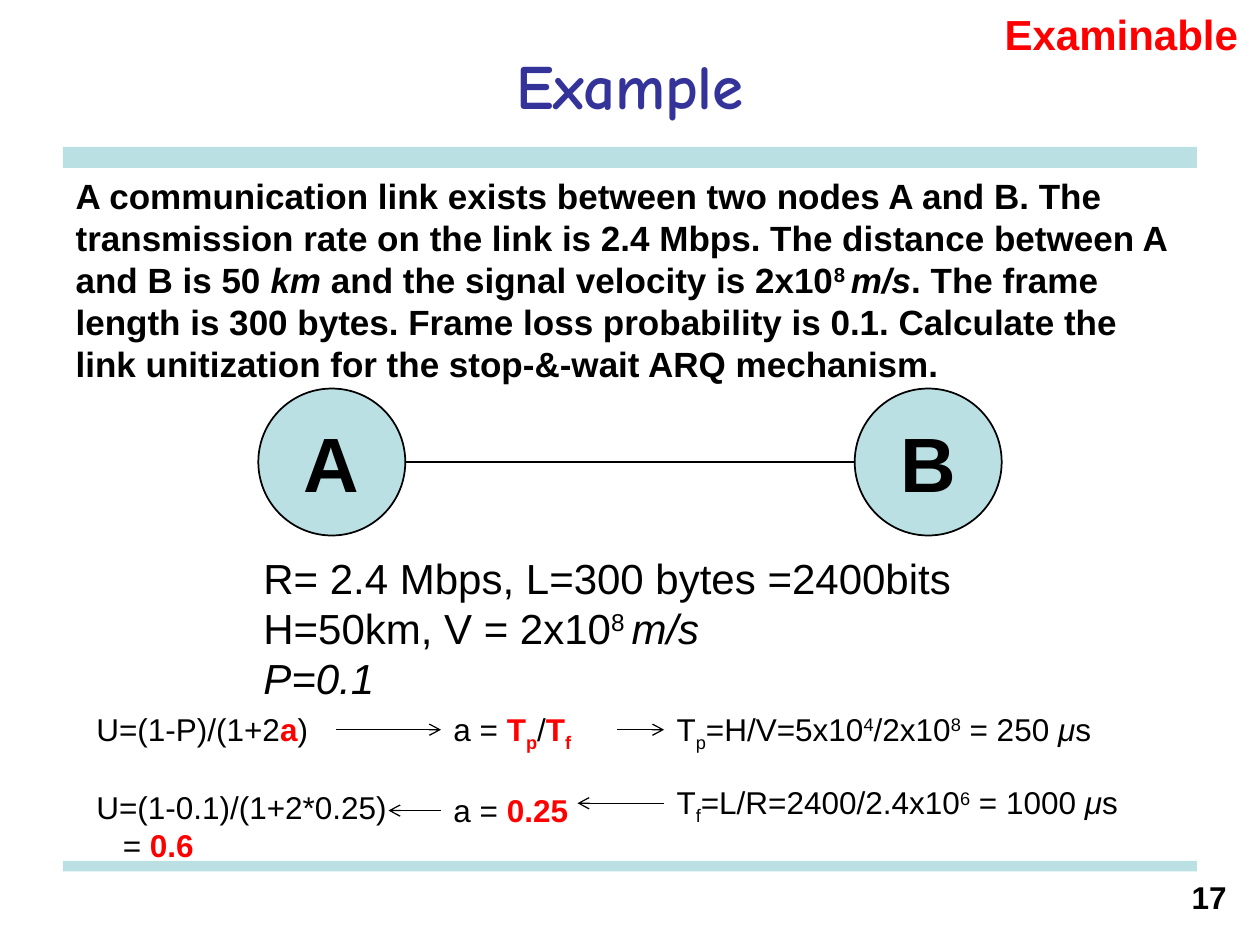
from lxml import etree
from pptx import Presentation
from pptx import util as u
from pptx.dml.color import RGBColor
from pptx.enum import shapes, text
from pptx.oxml import ns

COLUMNS, ROWS = 120, 90
CELL = u.Inches(10) // COLUMNS
BLACK, RED, NAVY, AQUA = "000000", "FF0000", "333399", "BBE0E3"
UP, DOWN = {"baseline": 30000}, {"baseline": -25000}
ITALIC, HOT = {"italic": True}, {"bold": True, "color": RED}
HOT_DOWN = {**HOT, **DOWN}


def cells(*lengths):
    return [u.Emu(round(length * CELL)) for length in lengths]


def colour(target, value):
    target.rgb = RGBColor.from_string(value)


def place(item, left, top, width, height):
    names = ("left", "top", "width", "height")
    for name, value in zip(names, cells(left, top, width, height)):
        setattr(item, name, value)


def write(item, lines, size, align=text.PP_ALIGN.LEFT,
          anchor=text.MSO_ANCHOR.TOP, **base):
    """Fill a shape with lines, each a list of strings or (string, format) pairs."""
    frame = item.text_frame
    settings = {"word_wrap": True, "auto_size": text.MSO_AUTO_SIZE.NONE,
                "vertical_anchor": anchor}
    for name, value in settings.items():
        setattr(frame, name, value)
    for index, line in enumerate(lines):
        para = frame.paragraphs[0] if index == 0 else frame.add_paragraph()
        para.alignment = align
        for part in line:
            words, extra = (part, {}) if isinstance(part, str) else part
            span = para.add_run()
            span.text = words
            look = {"name": "Arial", "size": u.Pt(size), "bold": False,
                    "color": BLACK, **base, **extra}
            colour(span.font.color, look.pop("color"))
            if "baseline" in look:
                span.font._element.set("baseline", str(look.pop("baseline")))
            for name, value in look.items():
                setattr(span.font, name, value)
    return frame


def label(page, box, lines, size=18, **look):
    item = page.shapes.add_textbox(*cells(*box))
    return write(item, lines, size, **look)


def block(page, kind, box, outline=None):
    item = page.shapes.add_shape(kind, *cells(*box))
    item.shadow.inherit = False
    item.fill.solid()
    colour(item.fill.fore_color, AQUA)
    if outline:
        colour(item.line.color, outline)
        item.line.width = u.Pt(1)
    else:
        item.line.fill.background()
    return item


def link(page, start, end, row, width=0.75, arrow=True):
    line = page.shapes.add_connector(shapes.MSO_CONNECTOR.STRAIGHT,
                                     *cells(start, row, end, row))
    colour(line.line.color, BLACK)
    line.line.width = u.Pt(width)
    if arrow:
        outline = line.line._get_or_add_ln()
        etree.SubElement(outline, ns.qn("a:tailEnd"), type="arrow")
    etree.SubElement(line._element.spPr, ns.qn("a:effectLst"))


def frame_page(page, left, width):
    """Rules, page number and corner mark around the content."""
    for top, height in ((14, 2), (82, 1)):
        block(page, shapes.MSO_SHAPE.RECTANGLE, (left, top, width, height))
    label(page, (110, 83, 8, 5), [["17"]], align=text.PP_ALIGN.RIGHT, bold=True)
    label(page, (94.5, 0.25, 35, 6), [["Examinable"]], size=24, **HOT)


def question(page, left, width):
    title, body = page.placeholders
    place(title, left, 2, width, 12)
    write(title, [["Example"]], 36, text.PP_ALIGN.CENTER, text.MSO_ANCHOR.MIDDLE,
          name="Comic Neue", bold=True, color=NAVY)
    place(body, left, 16, width, 22)
    frame = write(body, [[
        "A communication link exists between two nodes A and B. The transmission "
        "rate on the link is 2.4 Mbps. The distance between A and B is 50 ",
        ("km", ITALIC), " and the signal velocity is 2x10", ("8 ", UP), ("m/s", ITALIC),
        ". The frame length is 300 bytes. Frame loss probability is 0.1. "
        "Calculate the link unitization for the stop-&-wait ARQ mechanism.",
    ]], 20, bold=True)
    props = frame.paragraphs[0]._p.get_or_add_pPr()
    for name in ("marL", "indent"):
        props.set(name, "0")
    etree.SubElement(props, ns.qn("a:buNone"))


def node_diagram(page, left, top, width, size=14):
    """Two round nodes at the ends of a link."""
    for name, x in (("A", left), ("B", left + width - size)):
        node = block(page, shapes.MSO_SHAPE.OVAL, (x, top, size, size), BLACK)
        write(node, [[name]], 44, text.PP_ALIGN.CENTER, text.MSO_ANCHOR.MIDDLE, bold=True)
    link(page, left + size, left + width - size, top + size / 2, 1, arrow=False)


def given_values(page, left, top):
    label(page, (left, top, 74, 15.75), [
        ["R= 2.4 Mbps, L=300 bytes =2400bits"],
        ["H=50km, V = 2x10", ("8 ", UP), ("m/s", ITALIC)],
        [("P=0.1", ITALIC)],
    ], size=24)


def solution(page, left, top):
    """Formulas run right along the first row and back along the second."""
    middle, right = left + 34, left + 55.25
    micro = [("μ", ITALIC), "s"]
    formulas = [
        (left, 0, 24, [["U=(1-P)/(1+2", ("a", HOT), ")"]]),
        (middle, 0, 14.5, [["a = ", ("T", HOT), ("p", HOT_DOWN), "/",
                            ("T", HOT), ("f", HOT_DOWN)]]),
        (right, 0, 46, [["T", ("p", DOWN), "=H/V=5x10", ("4", UP), "/2x10",
                         ("8", UP), " = 250 ", *micro]]),
        (right, 7, 46, [["T", ("f", DOWN), "=L/R=2400/2.4x10", ("6", UP),
                         " = 1000 ", *micro]]),
        (middle, 7.75, 14.5, [["a = ", ("0.25", HOT)]]),
        (left, 7.5, 31, [["U=(1-0.1)/(1+2*0.25)"], ["= ", ("0.6", HOT)]]),
    ]
    for x, drop, width, lines in formulas:
        frame = label(page, (x, top + drop, width, 4.8 * len(lines)), lines)
    result = frame.paragraphs[-1]._p.get_or_add_pPr()
    result.set("marL", str(u.Inches(0.21)))
    for start, end, drop in ((left + 24, middle, 2.5), (left + 50.75, right, 2.5),
                             (right, left + 47, 9.5), (middle, left + 29, 10.2)):
        link(page, start, end, top + drop)


def main():
    deck = Presentation()
    deck.slide_width, deck.slide_height = cells(COLUMNS, ROWS)
    page = deck.slides.add_slide(deck.slide_layouts[1])
    frame_page(page, 6, 108)
    question(page, 6, 108)
    given_values(page, 23.9, 52)
    solution(page, 8, 67)
    node_diagram(page, 24.6, 37, 70.8)
    deck.save("out.pptx")


if __name__ == "__main__":
    main()
